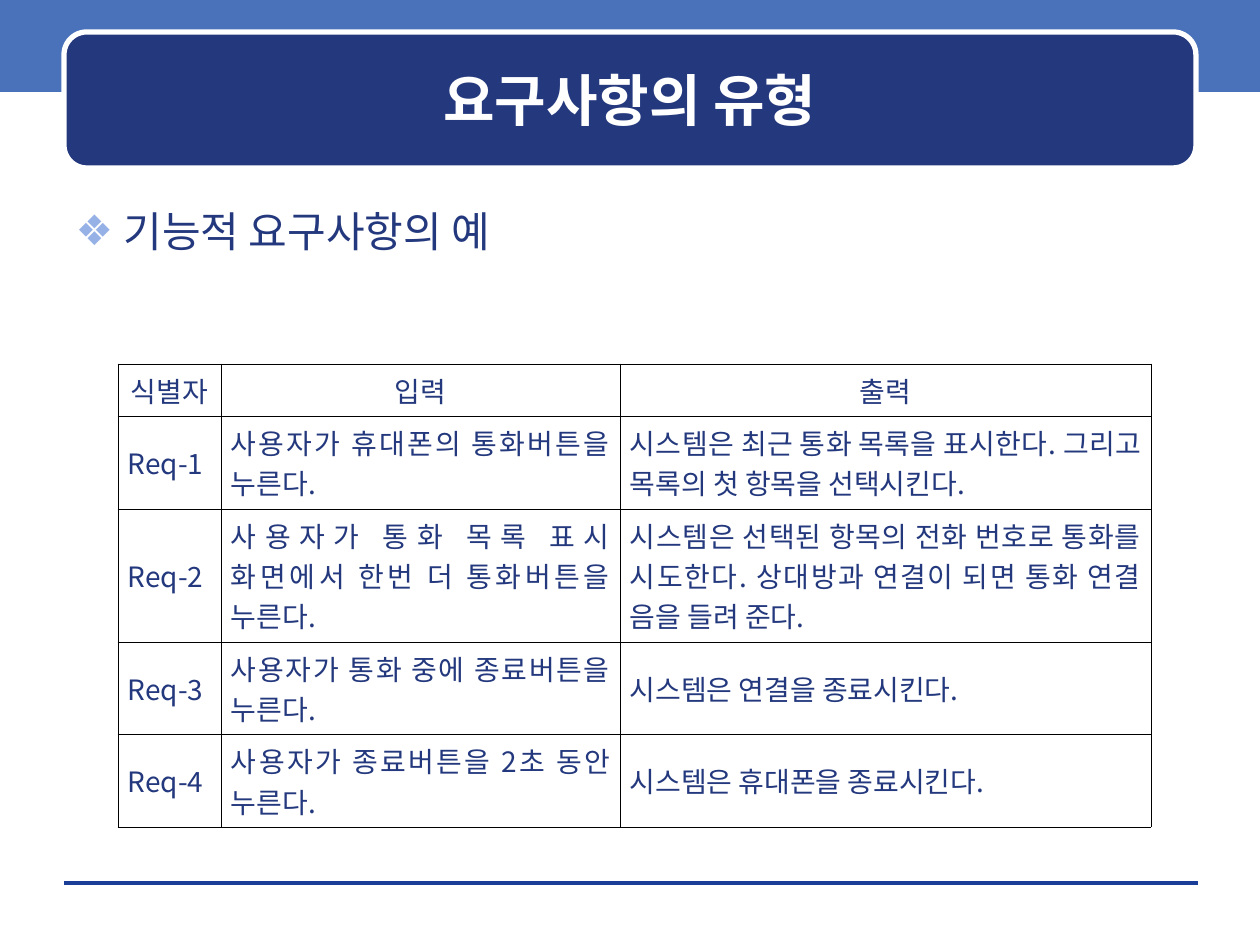
from lxml import etree
from pptx import Presentation
from pptx.dml.color import RGBColor
from pptx.enum.shapes import MSO_CONNECTOR, MSO_SHAPE
from pptx.enum.text import MSO_ANCHOR, MSO_AUTO_SIZE, PP_ALIGN
from pptx.oxml.ns import qn
from pptx.util import Pt

PX = 914400 // 126
RECT, ROUND = MSO_SHAPE.RECTANGLE, MSO_SHAPE.ROUNDED_RECTANGLE
STRAIGHT = MSO_CONNECTOR.STRAIGHT
CENTER, JUSTIFY, LEFT = PP_ALIGN.CENTER, PP_ALIGN.JUSTIFY, PP_ALIGN.LEFT
TOP, MIDDLE = MSO_ANCHOR.TOP, MSO_ANCHOR.MIDDLE
NO_FIT = MSO_AUTO_SIZE.NONE

REQUIREMENTS = [
    ["식별자", "입력", "출력"],
    ["Req-1", "사용자가 휴대폰의 통화버튼을 누른다.",
     "시스템은 최근 통화 목록을 표시한다. 그리고 목록의 첫 항목을 선택시킨다."],
    ["Req-2", "사용자가 통화 목록 표시 화면에서 한번 더 통화버튼을 누른다.",
     "시스템은 선택된 항목의 전화 번호로 통화를 시도한다. 상대방과 연결이 되면 통화 연결 음을 들려 준다."],
    ["Req-3", "사용자가 통화 중에 종료버튼을 누른다.", "시스템은 연결을 종료시킨다."],
    ["Req-4", "사용자가 종료버튼을 2초 동안 누른다.", "시스템은 휴대폰을 종료시킨다."],
]


def px(*values):
    return [v * PX for v in values]


def rgb(value):
    return RGBColor.from_string(value)


def add_xml(parent, tag, **attrs):
    return etree.SubElement(parent, qn(tag), attrs)


class Deck:
    font = "Noto Sans CJK KR"
    navy, blue, rule = "23387D", "4972BB", "1A3D97"
    white, black, bullet = "FFFFFF", "000000", "96B1E6"

    def __init__(self, width, height):
        self.prs = Presentation()
        self.prs.slide_width, self.prs.slide_height = px(width, height)

    def new_slide(self):
        self.s = self.prs.slides.add_slide(self.prs.slide_layouts[1])

    def style(self, p, size, color, align, bold=False):
        p.alignment = align
        f = p.font
        f.size, f.bold, f.name = Pt(size), bold, self.font
        f.color.rgb = rgb(color)
        add_xml(p._p.pPr.find(qn("a:defRPr")), "a:ea", typeface=self.font)

    def shape(self, kind, box, fill, line=None, width=0):
        sp = self.s.shapes.add_shape(kind, *px(*box))
        sp.shadow.inherit = False
        sp.fill.solid()
        sp.fill.fore_color.rgb = rgb(fill)
        if line:
            sp.line.color.rgb = rgb(line)
            sp.line.width = Pt(width)
        else:
            sp.line.fill.background()

    def line(self, x1, y1, x2, y2, color):
        sp = self.s.shapes.add_connector(STRAIGHT, *px(x1, y1, x2, y2))
        sp.line.color.rgb = rgb(color)
        sp.line.width = Pt(0)
        add_xml(sp.element.spPr, "a:effectLst")

    def placeholder(self, index, box, text, anchor):
        sp = self.s.placeholders[index]
        sp.left, sp.top, sp.width, sp.height = px(*box)
        sp.element.getparent().append(sp.element)
        tf = sp.text_frame
        tf.text = text
        tf.word_wrap, tf.auto_size, tf.vertical_anchor = True, NO_FIT, anchor
        return tf.paragraphs[0]

    def title(self, box, text):
        p = self.placeholder(0, box, text, MIDDLE)
        self.style(p, 32, self.white, CENTER, bold=True)

    def body(self, box, text, indent):
        p = self.placeholder(1, box, text, TOP)
        p.space_before = Pt(0)
        pPr = p._p.get_or_add_pPr()
        pPr.set("marL", str(indent * PX))
        pPr.set("indent", str(-indent * PX))
        add_xml(add_xml(pPr, "a:buClr"), "a:srgbClr", val=self.bullet)
        add_xml(pPr, "a:buChar", char="❖")
        self.style(p, 24, self.navy, LEFT)

    def cell(self, cell, text, header):
        cell.text = text
        cell.vertical_anchor = TOP if header else MIDDLE
        cell.margin_left, cell.margin_right, cell.margin_top, cell.margin_bottom = px(10, 10, 6, 6)
        tcPr = cell._tc.get_or_add_tcPr()
        for side in "LRTB":
            ln = add_xml(tcPr, f"a:ln{side}", w=str(Pt(0.45)))
            add_xml(add_xml(ln, "a:solidFill"), "a:srgbClr", val=self.black)
        cell.fill.background()
        self.style(cell.text_frame.paragraphs[0], 16, self.navy, CENTER if header else JUSTIFY)

    def table(self, left, top, widths, heights, rows):
        box = px(left, top, sum(widths), sum(heights))
        table = self.s.shapes.add_table(len(rows), len(widths), *box).table
        table.first_row = table.horz_banding = False
        for column, width in zip(table.columns, px(*widths)):
            column.width = width
        for r, (row, height) in enumerate(zip(table.rows, px(*heights))):
            row.height = height
            for cell, text in zip(row.cells, rows[r]):
                self.cell(cell, text, header=r == 0)


def main():
    deck = Deck(1260, 945)
    deck.new_slide()
    deck.shape(RECT, (0, -4, 1260, 96), deck.blue)
    deck.line(64, 883, 1198, 883, deck.rule)
    deck.shape(ROUND, (64, 32, 1132, 136), deck.navy, deck.white, 3)
    deck.title((75, 44, 1110, 111), "요구사항의 유형")
    deck.table(118, 364, [103, 399, 531], [44, 77, 111, 77, 77], REQUIREMENTS)
    deck.body((63, 199, 1134, 672), "기능적 요구사항의 예", 48)
    deck.prs.save("out.pptx")


if __name__ == "__main__":
    main()
